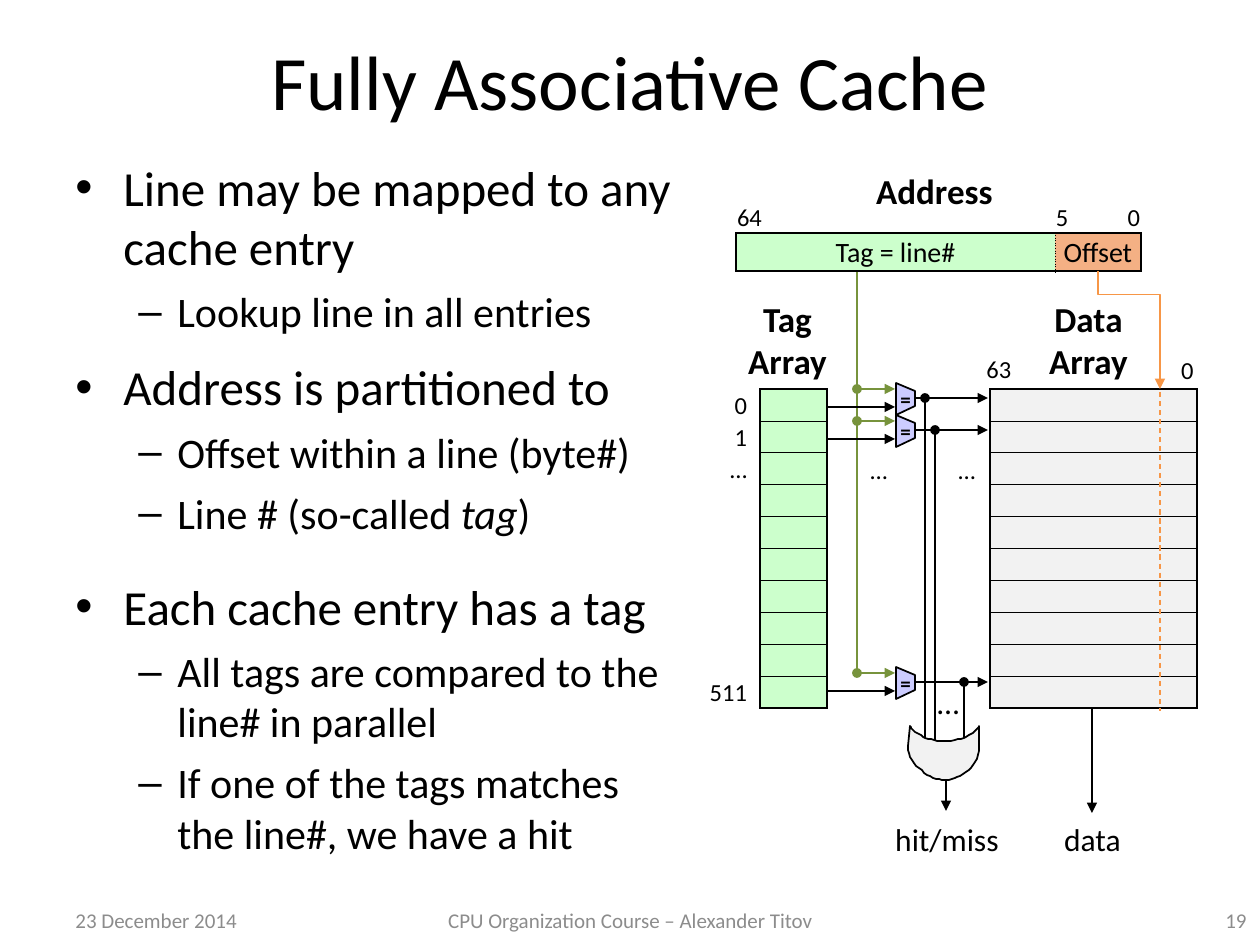
import pptx
import pptx.util
import pptx.dml.color
import pptx.enum.dml
import pptx.enum.shapes
import pptx.enum.text
from pptx.oxml.ns import qn
from lxml import etree

PX = 914400 / 126
ALIGN = pptx.enum.text.PP_ALIGN
ANCHOR = pptx.enum.text.MSO_ANCHOR
SHAPE = pptx.enum.shapes.MSO_SHAPE
CONNECTOR = pptx.enum.shapes.MSO_CONNECTOR
LEFT, CENTER, RIGHT = ALIGN.LEFT, ALIGN.CENTER, ALIGN.RIGHT

THEME = {
    "font": "Calibri", "ink": "000000", "paper": "FFFFFF", "muted": "8C8C8C",
    "tag": "CCFFCC", "tag_line": "77933C", "offset": "F4B084", "offset_line": "F79646",
    "data": "F2F2F2", "comparator": "CCCCFF",
    "title": 44, "bullet": 28, "sub": 24, "heading": 20, "output": 18,
    "field": 16, "index": 14, "small": 12,
}

# text, box (left, top, width, height), size, alignment, extra format
LABELS = [
    ("Address", (809, 163, 251, 55), "heading", CENTER, {"bold": True}),
    ("Tag\nArray", (735, 291, 105, 97), "heading", CENTER, {"bold": True}),
    ("Data\nArray", (1036, 291, 105, 97), "heading", CENTER, {"bold": True}),
    ("63", (974, 348, 50, 43), "index", LEFT, {}),
    ("0", (1168, 349, 38, 43), "index", RIGHT, {}),
    ("…", (858, 449, 43, 43), "index", LEFT, {}),
    ("…", (946, 449, 43, 43), "index", LEFT, {}),
    ("…", (925, 677, 48, 50), "output", LEFT, {}),
    ("hit/miss", (882, 814, 130, 50), "output", CENTER, {}),
    ("data", (1051, 814, 83, 50), "output", CENTER, {}),
]
FRAME = [
    ("Fully Associative Cache", (63, 1, 1134, 158), "title", CENTER, "ink"),
    ("23 December 2014", (63, 895, 294, 50), "small", LEFT, "muted"),
    ("CPU Organization Course – Alexander Titov", (431, 895, 399, 50), "small", CENTER, "muted"),
    ("19", (965, 895, 294, 50), "small", RIGHT, "muted"),
]
# level, runs as (text, italic), line spacing
BULLETS = [
    (0, [("Line may be mapped to any cache entry", False)], 1),
    (1, [("Lookup line in all entries", False)], 1),
    (0, [("Address is partitioned to", False)], 1),
    (1, [("Offset within a line (byte#)", False)], 1),
    (1, [("Line # (so-called ", False), ("tag", True), (")", False)], 1),
    (0, [("Each cache entry has a tag", False)], 1.3),
    (1, [("All tags are compared to the line# in parallel", False)], 1),
    (1, [("If one of the tags matches the line#, we have a hit", False)], 1),
]
# size, left margin px, hanging px, space before pt, bullet
LEVELS = [("bullet", 48, 48, 12, "•"), ("sub", 102, 39, 6, "–")]
ENTRY_LABELS = ["0", "1", "…", "", "", "", "", "", "", "511"]
COMPARATORS = [(383, 925), (415, 935), (667, 964)]  # top, x of the hit line
# start, then line ends and Bézier curves (two controls and an end)
OR_GATE = ((979, 747), [
    [(979, 726)], [(978, 731), (964, 741), (944, 741)], [(925, 741), (912, 731), (910, 726)],
    [(908, 746)], [(908, 766), (932, 780), (944, 780)], [(956, 780), (979, 770), (979, 747)],
])


def px(*values):
    return [pptx.util.Emu(round(value * PX)) for value in values]


def color(name):
    return pptx.dml.color.RGBColor.from_string(THEME[name])


def apply(target, values):
    for name, value in values.items():
        setattr(target, name, value)


def write(paragraph, text, size, ink="ink", **extra):
    run = paragraph.add_run()
    run.text = text
    apply(run.font, {"name": THEME["font"], "size": pptx.util.Pt(THEME[size]), **extra})
    run.font.color.rgb = color(ink)


def add_text(slide, text, box, size, align, ink="ink", wrap=False, anchor=ANCHOR.TOP, **extra):
    frame = slide.shapes.add_textbox(*px(*box)).text_frame
    apply(frame, {"word_wrap": wrap, "vertical_anchor": anchor})
    for number, line in enumerate(text.split("\n")):
        paragraph = frame.add_paragraph() if number else frame.paragraphs[0]
        paragraph.alignment = align
        write(paragraph, line, size, ink, **extra)


def add_bullets(slide, box):
    frame = slide.shapes.add_textbox(*px(*box)).text_frame
    frame.word_wrap = True
    for number, (level, runs, spacing) in enumerate(BULLETS):
        size, margin, hanging, before, mark = LEVELS[level]
        paragraph = frame.add_paragraph() if number else frame.paragraphs[0]
        apply(paragraph, {"level": level, "line_spacing": spacing,
                          "space_before": pptx.util.Pt(before if number else 0)})
        properties = paragraph._p.get_or_add_pPr()
        properties.set("marL", str(px(margin)[0]))
        properties.set("indent", str(-px(hanging)[0]))
        etree.SubElement(properties, qn("a:buFont"), typeface="Arial")
        etree.SubElement(properties, qn("a:buChar"), char=mark)
        for text, italic in runs:
            write(paragraph, text, size, italic=italic)


def paint(shape, fill, line="ink"):
    shape.shadow.inherit = False
    shape.fill.solid()
    shape.fill.fore_color.rgb = color(fill)
    shape.line.color.rgb = color(line)
    shape.line.width = pptx.util.Pt(1)


def add_line(slide, start, end, ink="ink", width=1, arrow=True, kind=CONNECTOR.STRAIGHT):
    line = slide.shapes.add_connector(kind, *px(*start, *end))
    line.line.color.rgb = color(ink)
    line.line.width = pptx.util.Pt(width)
    if arrow:
        etree.SubElement(line.line._get_or_add_ln(), qn("a:tailEnd"), type="triangle")
    etree.SubElement(line._element.spPr, qn("a:effectLst"))
    return line


def add_dot(slide, x, y, ink):
    paint(slide.shapes.add_shape(SHAPE.OVAL, *px(x - 4, y - 4, 8, 8)), ink, ink)


def add_outline(slide, start, points, fill):
    builder = slide.shapes.build_freeform(*start, scale=PX)
    builder.add_line_segments(points, close=True)
    shape = builder.convert_to_shape()
    paint(shape, fill)
    return shape


def curve(start, controls, steps=16):
    """Points along a cubic Bézier; a single control is a straight end."""
    if len(controls) == 1:
        return controls
    points = [start, *controls]
    weights = [((1 - t) ** 3, 3 * t * (1 - t) ** 2, 3 * t * t * (1 - t), t ** 3)
               for t in (step / steps for step in range(1, steps + 1))]
    return [tuple(sum(w * p[axis] for w, p in zip(row, points)) for axis in (0, 1))
            for row in weights]


def add_table(slide, rows, box, widths):
    table = slide.shapes.add_table(rows, len(widths), *px(*box)).table
    apply(table, {"first_row": False, "horz_banding": False})
    table._tbl.tblPr.find(qn("a:tableStyleId")).text = "{2D5ABB26-0587-4C30-8999-92F81FD0307C}"
    for column, width in zip(table.columns, px(*widths)):
        column.width = width
    return table


def fill_cell(cell, fill, text="", size="index", align=CENTER, borders=None,
              anchor=ANCHOR.MIDDLE, right=1):
    """Borders map a side (L, R, T, B) to a width in points and a dash."""
    left, right_margin = px(1, right)
    apply(cell, {"margin_left": left, "margin_right": right_margin, "margin_top": left,
                 "margin_bottom": 0, "vertical_anchor": anchor})
    for side in "LRTB":
        if side in (borders or {}):
            width, dash = borders[side]
            line = etree.SubElement(cell._tc.get_or_add_tcPr(), qn("a:ln" + side),
                                    w=str(pptx.util.Pt(width)))
            solid = etree.SubElement(line, qn("a:solidFill"))
            etree.SubElement(solid, qn("a:srgbClr"), val=THEME["ink"])
            etree.SubElement(line, qn("a:prstDash"), val=dash)
    cell.fill.solid()
    cell.fill.fore_color.rgb = color(fill)
    paragraph = cell.text_frame.paragraphs[0]
    paragraph.alignment = align
    if text:
        write(paragraph, text, size)
    else:
        paragraph._p.get_or_add_endParaRPr().set("sz", str(100 * THEME["small"]))


def add_array(slide, box, widths, fill, labels=None):
    count = len(ENTRY_LABELS)
    table = add_table(slide, count, box, widths)
    for row in range(count):
        if labels:
            fill_cell(table.cell(row, 0), "paper", labels[row], align=RIGHT,
                      anchor=ANCHOR.BOTTOM, right=13)
        borders = {"L": (1, "solid"), "R": (1, "solid"),
                   "T": (0.5 if row else 1, "solid"),
                   "B": (0.5 if row < count - 1 else 1, "solid")}
        fill_cell(table.cell(row, len(widths) - 1), fill, borders=borders)


def add_address(slide):
    table = add_table(slide, 2, (736, 200, 405, 71), (319, 44, 42))
    table.rows[0].height, table.rows[1].height = px(33, 38)
    for column, (bit, align) in enumerate([("64", LEFT), ("5", LEFT), ("0", RIGHT)]):
        fill_cell(table.cell(0, column), "paper", bit, align=align, anchor=ANCHOR.BOTTOM)
    table.cell(1, 1).merge(table.cell(1, 2))
    solid, dotted = (1, "solid"), (0.5, "sysDot")
    for column, text, fill, left, right in [(0, "Tag = line#", "tag", solid, dotted),
                                            (1, "Offset", "offset", dotted, solid)]:
        fill_cell(table.cell(1, column), fill, text, "field",
                  borders={"L": left, "R": right, "T": solid, "B": solid})


def add_comparator(slide, top, hit_x):
    gate = add_outline(slide, (896, top), [(915, top + 8), (915, top + 23), (896, top + 32)],
                       "comparator")
    apply(gate.text_frame, {"margin_left": 0, "margin_right": 0, "margin_top": 0,
                            "margin_bottom": 0, "word_wrap": False,
                            "vertical_anchor": ANCHOR.MIDDLE})
    gate.text_frame.paragraphs[0].alignment = CENTER
    write(gate.text_frame.paragraphs[0], "=", "small", bold=True)
    add_line(slide, (857, top + 6), (895, top + 6), "tag_line")
    add_dot(slide, 857, top + 6, "tag_line")
    add_line(slide, (827, top + 24), (895, top + 24))
    add_line(slide, (915, top + 15), (988, top + 15))
    add_line(slide, (hit_x, top + 15), (hit_x, 740), arrow=False)
    add_dot(slide, hit_x, top + 15, "ink")


def add_offset_path(slide):
    bend = add_line(slide, (1070, 299), (1188, 361), "offset_line", 0.75, kind=CONNECTOR.ELBOW)
    apply(bend._element.spPr.xfrm, {"rot": 270, "flipH": True})
    guides = bend._element.spPr.find(qn("a:prstGeom")).get_or_add_avLst()
    etree.SubElement(guides, qn("a:gd"), name="adj1", fmla="val 19700")
    dashes = add_line(slide, (1160, 392), (1160, 711), "offset_line", 0.75, arrow=False)
    dashes.line.dash_style = pptx.enum.dml.MSO_LINE.DASH


def main():
    presentation = pptx.Presentation()
    presentation.slide_width, presentation.slide_height = px(1260, 945)
    slide = presentation.slides.add_slide(presentation.slide_layouts[6])
    for text, box, size, align, ink in FRAME:
        add_text(slide, text, box, size, align, ink, wrap=True, anchor=ANCHOR.MIDDLE)
    add_bullets(slide, (63, 151, 624, 685))
    add_array(slide, (990, 389, 207, 319), (207,), "data")
    add_array(slide, (703, 389, 124, 319), (57, 67), "tag", ENTRY_LABELS)
    add_address(slide)
    add_line(slide, (857, 272), (857, 677), "tag_line", arrow=False)
    for top, hit_x in COMPARATORS:
        add_comparator(slide, top, hit_x)
    start, segments = OR_GATE
    points = [start]
    for controls in segments:
        points += curve(points[-1], controls)
    add_outline(slide, start, points[1:], "data")
    add_line(slide, (946, 780), (946, 811))
    add_line(slide, (1092, 708), (1092, 813))
    add_offset_path(slide)
    for text, box, size, align, extra in LABELS:
        add_text(slide, text, box, size, align, **extra)
    presentation.save("out.pptx")


if __name__ == "__main__":
    main()
